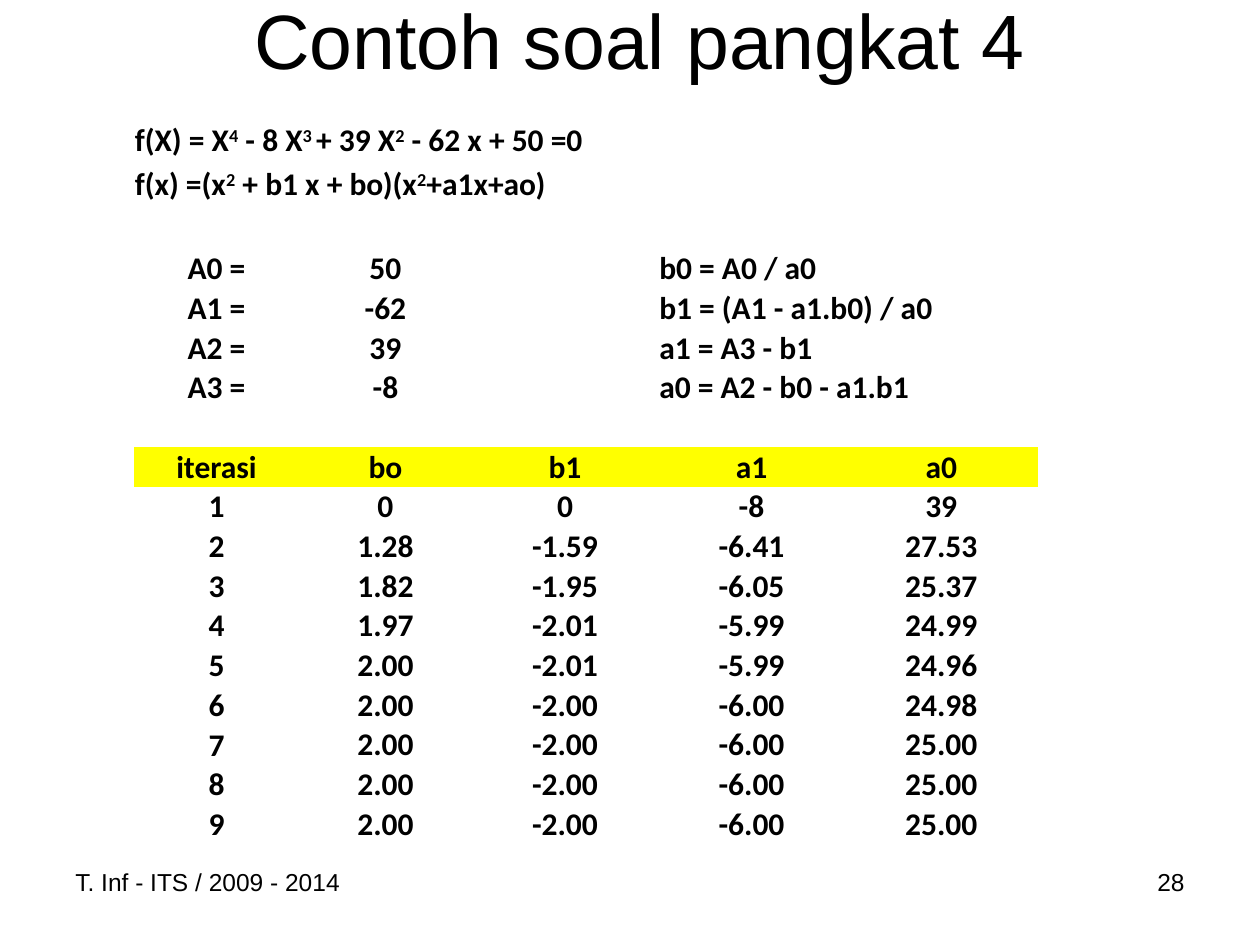
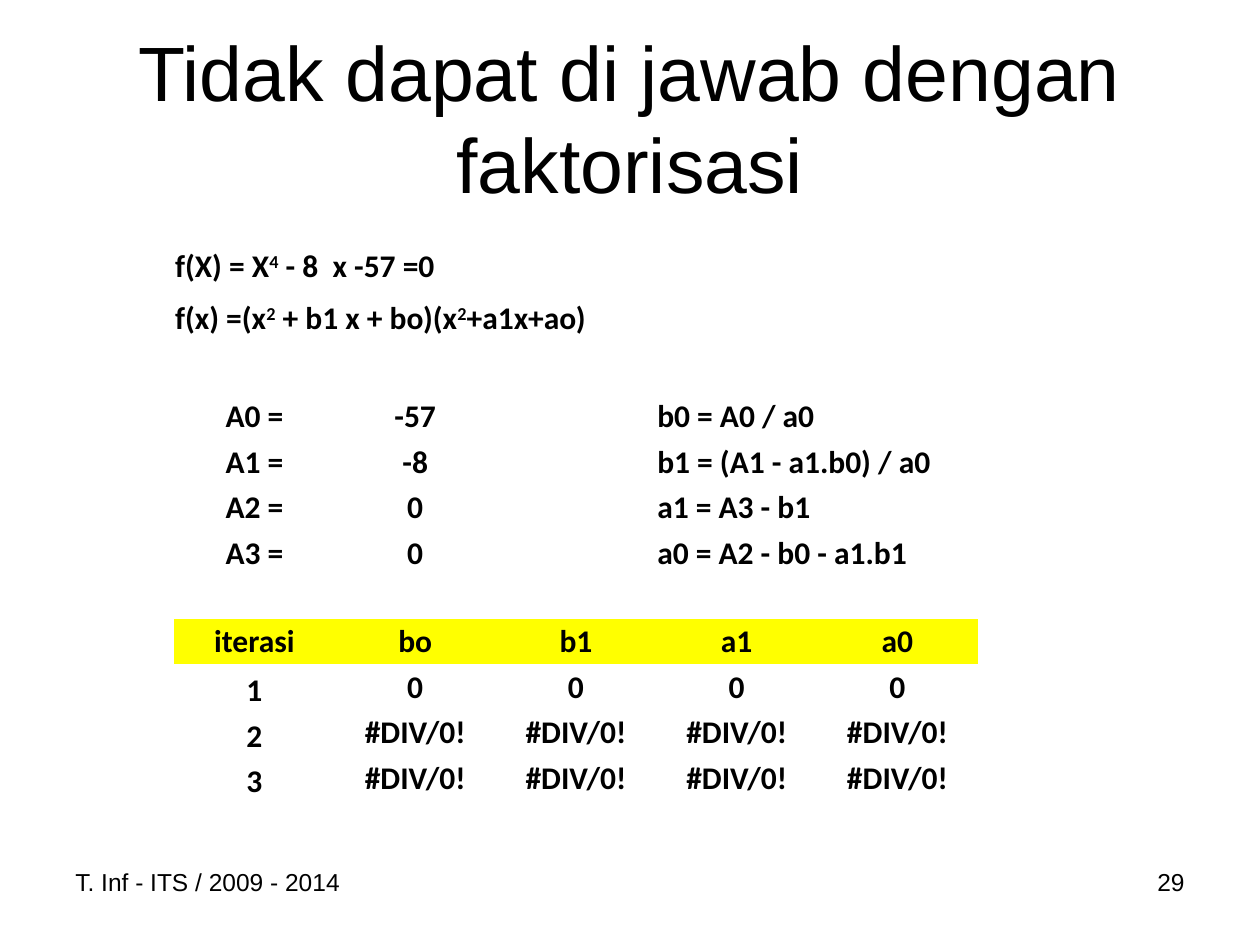
from dataclasses import dataclass

from pptx import Presentation
from pptx.dml.color import RGBColor
from pptx.enum.text import MSO_ANCHOR, MSO_AUTO_SIZE, PP_ALIGN
from pptx.oxml.ns import qn
from pptx.util import Cm, Pt

LEFT, CENTER, RIGHT = PP_ALIGN.LEFT, PP_ALIGN.CENTER, PP_ALIGN.RIGHT
MIDDLE, BOTTOM = MSO_ANCHOR.MIDDLE, MSO_ANCHOR.BOTTOM
NO_AUTOFIT = MSO_AUTO_SIZE.NONE

BLACK = RGBColor(0x00, 0x00, 0x00)
YELLOW = RGBColor(0xFF, 0xFF, 0x00)
TITLE_FONT, TABLE_FONT = "Arial", "Calibri"
NO_GRID_STYLE = "{2D5ABB26-0587-4C30-8999-92F81FD0307C}"
TITLE_ONLY = 5

FOOTER = "T. Inf - ITS / 2009 - 2014"
FACTORED = "f(x) =(x^2^ + b1 x + bo)(x^2^+a1x+ao)"
UPDATE_RULES = ["b0 = A0 / a0", "b1 = (A1 - a1.b0) / a0", "a1 = A3 - b1", "a0 = A2 - b0 - a1.b1"]
HEADINGS = ["iterasi", "bo", "b1", "a1", "a0"]
FIRST_COEFFICIENT_ROW = 3
HEADING_ROW = 8
TALL_ROWS = 3


@dataclass
class Box:
    left: float
    top: float
    width: float
    height: float


@dataclass
class Example:
    number: int
    title: str
    title_box: Box
    polynomial: str
    formula_spans: tuple[int, int]
    coefficients: list[str]
    iterations: list[list[str]]
    left: float
    top: float
    columns: list[float]
    tall_row: float
    row: float


EXAMPLES = [
    Example(
        number=28,
        title="Contoh soal pangkat 4",
        title_box=Box(1.47, 0, 22.86, 1.57),
        polynomial="f(X) = X^4^ - 8 X^3 ^+ 39 X^2^ - 62 x + 50 =0",
        formula_spans=(4, 3),
        coefficients=["50", "-62", "39", "-8"],
        iterations=[
            ["0", "0", "-8", "39"],
            ["1.28", "-1.59", "-6.41", "27.53"],
            ["1.82", "-1.95", "-6.05", "25.37"],
            ["1.97", "-2.01", "-5.99", "24.99"],
            ["2.00", "-2.01", "-5.99", "24.96"],
            ["2.00", "-2.00", "-6.00", "24.98"],
            *[["2.00", "-2.00", "-6.00", "25.00"]] * 3,
        ],
        left=2.7,
        top=2.34,
        columns=[3.33, 3.48, 3.76, 3.76, 3.89],
        tall_row=0.89,
        row=0.8,
    ),
    Example(
        number=29,
        title="Tidak dapat di jawab dengan faktorisasi",
        title_box=Box(1.27, 0.76, 22.86, 3.18),
        polynomial="f(X) = X^4^ - 8  x -57 =0",
        formula_spans=(2, 4),
        coefficients=["-57", "-8", "0", "0"],
        iterations=[["0"] * 4, *[["#DIV/0!"] * 4] * 2],
        left=3.51,
        top=4.72,
        columns=[3.24] + [3.24] * 4,
        tall_row=1.05,
        row=0.92,
    ),
]


def write_text(tf, text: str, *, size: float, font: str, bold: bool = False, align=LEFT) -> None:
    p = tf.paragraphs[0]
    p.alignment = align
    for i, part in enumerate(text.split("^")):
        if not part:
            continue
        r = p.add_run()
        r.text = part
        r.font.size = Pt(size)
        r.font.name = font
        r.font.bold = bold
        r.font.color.rgb = BLACK
        if i % 2:
            r._r.get_or_add_rPr().set("baseline", "30000")


def write_cell(table, row: int, col: int, text: str, *, align=CENTER, anchor=BOTTOM, span: int = 1) -> None:
    cell = table.cell(row, col)
    if span > 1:
        cell.merge(table.cell(row, col + span - 1))
    cell.vertical_anchor = anchor
    write_text(cell.text_frame, text, size=18, font=TABLE_FONT, bold=True, align=align)


def add_plain_table(s, example: Example):
    n_rows = HEADING_ROW + 1 + len(example.iterations)
    heights = [example.tall_row] * TALL_ROWS + [example.row] * (n_rows - TALL_ROWS)
    table = s.shapes.add_table(
        n_rows, len(example.columns), Cm(example.left), Cm(example.top),
        Cm(sum(example.columns)), Cm(sum(heights)),
    ).table
    table.first_row = table.horz_banding = False
    table._tbl.tblPr.find(qn("a:tableStyleId")).text = NO_GRID_STYLE
    for column, width in zip(table.columns, example.columns):
        column.width = Cm(width)
    for row, height in zip(table.rows, heights):
        row.height = Cm(height)
    for cell in table.iter_cells():
        cell.margin_left = cell.margin_right = cell.margin_top = Cm(0.02)
        cell.margin_bottom = Cm(0)
        cell.fill.background()
    return table


def add_iteration_table(s, example: Example) -> None:
    table = add_plain_table(s, example)
    formulas = [example.polynomial, FACTORED]
    for i, (formula, span) in enumerate(zip(formulas, example.formula_spans)):
        write_cell(table, i, 0, formula, align=LEFT, span=span)
    for i, (value, rule) in enumerate(zip(example.coefficients, UPDATE_RULES)):
        row = FIRST_COEFFICIENT_ROW + i
        write_cell(table, row, 0, f"A{i} =")
        write_cell(table, row, 1, value)
        write_cell(table, row, 3, rule, align=LEFT, span=2)
    for col, heading in enumerate(HEADINGS):
        write_cell(table, HEADING_ROW, col, heading, anchor=MIDDLE)
        fill = table.cell(HEADING_ROW, col).fill
        fill.solid()
        fill.fore_color.rgb = YELLOW
    for i, values in enumerate(example.iterations, start=1):
        write_cell(table, HEADING_ROW + i, 0, str(i))
        for col, value in enumerate(values, start=1):
            write_cell(table, HEADING_ROW + i, col, value, anchor=MIDDLE)


def add_title(s, text: str, box: Box) -> None:
    sp = s.shapes.title
    sp.left, sp.top, sp.width, sp.height = Cm(box.left), Cm(box.top), Cm(box.width), Cm(box.height)
    tf = sp.text_frame
    tf.auto_size = NO_AUTOFIT
    tf.word_wrap = True
    tf.vertical_anchor = MIDDLE
    write_text(tf, text, size=44, font=TITLE_FONT, align=CENTER)


def add_footer(s, number: int) -> None:
    for left, text, align in [(1.27, FOOTER, LEFT), (18.2, str(number), RIGHT)]:
        tf = s.shapes.add_textbox(Cm(left), Cm(17.35), Cm(5.93), Cm(1.32)).text_frame
        tf.word_wrap = True
        write_text(tf, text, size=14, font=TITLE_FONT, align=align)


def main() -> None:
    prs = Presentation()
    prs.slide_width, prs.slide_height = Cm(25.4), Cm(19.05)
    for example in EXAMPLES:
        s = prs.slides.add_slide(prs.slide_layouts[TITLE_ONLY])
        add_title(s, example.title, example.title_box)
        add_iteration_table(s, example)
        add_footer(s, example.number)
    prs.save("out.pptx")


if __name__ == "__main__":
    main()
